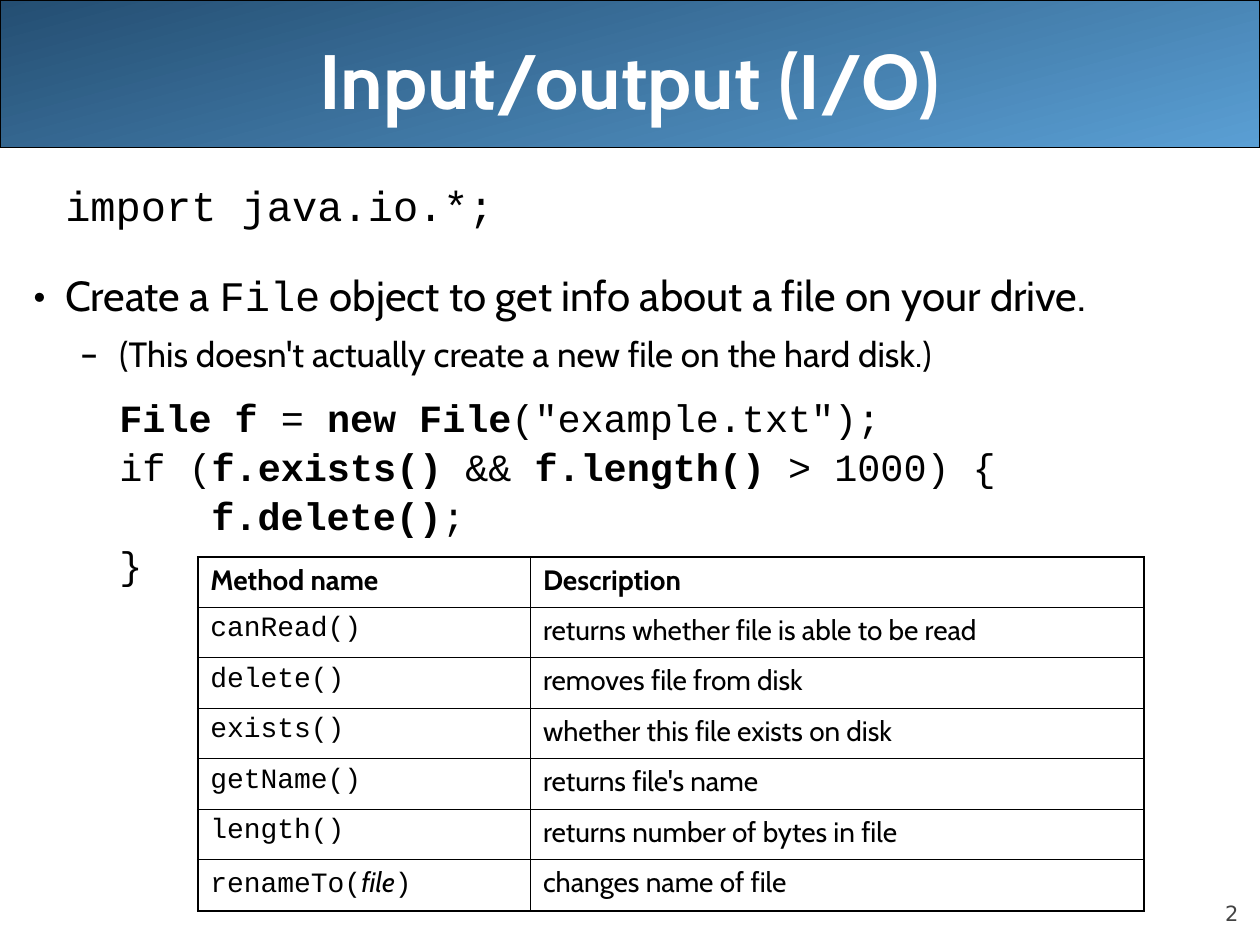
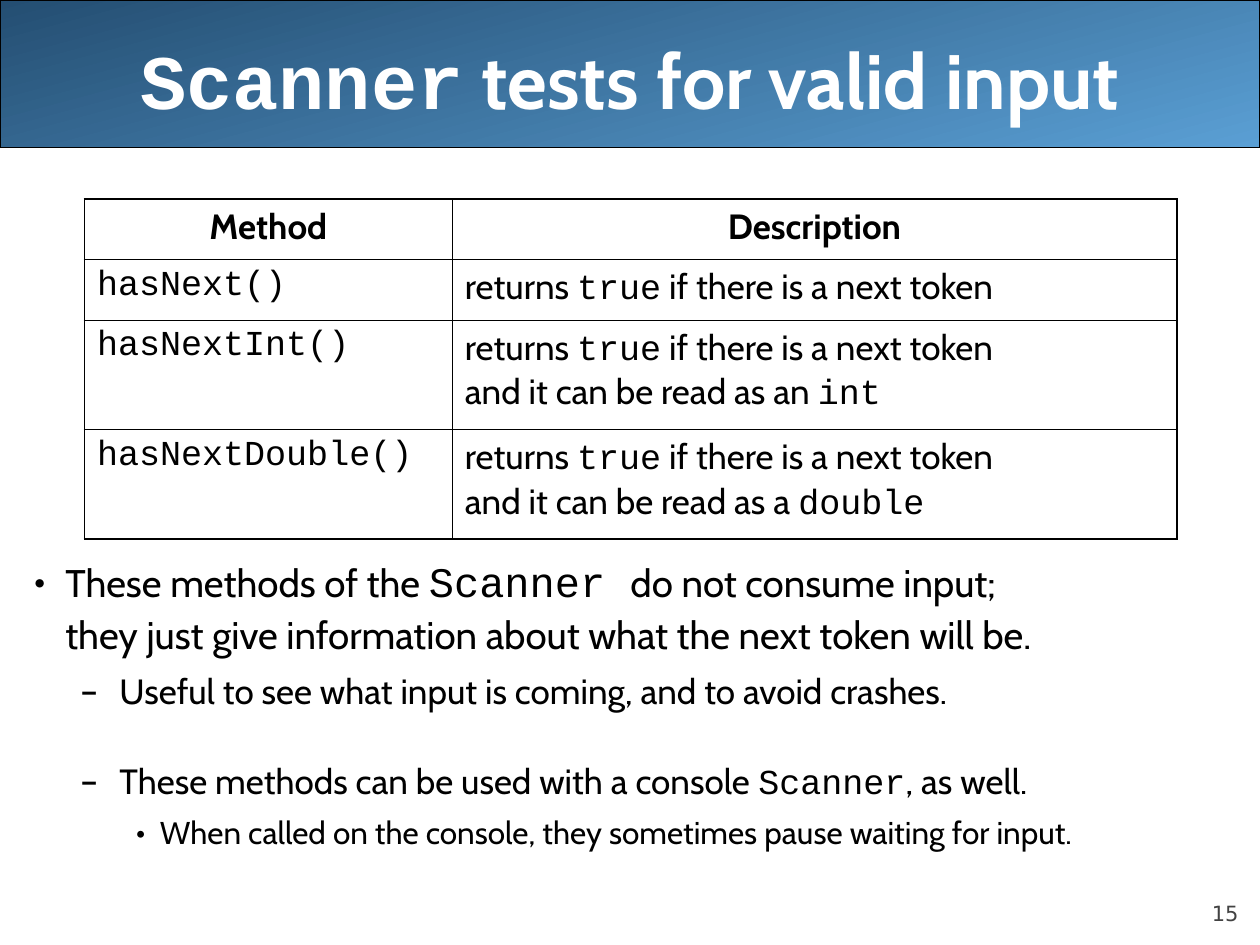
from dataclasses import dataclass, replace
from typing import Optional

from lxml import etree
from pptx import Presentation
from pptx.dml.color import RGBColor
from pptx.enum.shapes import MSO_SHAPE
from pptx.enum.text import MSO_ANCHOR, MSO_AUTO_SIZE, PP_ALIGN
from pptx.oxml.ns import qn
from pptx.util import Inches, Pt

COLORS = {
    "text": "000000",
    "title": "FFFFFF",
    "paper": "FFFFFF",
    "band_dark": "244E72",
    "band_light": "5A9FD4",
    "number": "424242",
}
SANS, MONO, NUMBER_FONT = "Cabin", "Courier New", "DejaVu Sans"
OUTER_LINE, INNER_LINE = Pt(1.08), Pt(0.45)


@dataclass(frozen=True)
class Run:
    text: str
    font: str = SANS
    bold: bool = False
    italic: bool = False
    size: Optional[float] = None


@dataclass(frozen=True)
class Style:
    size: float
    before: float
    spacing: float = 1.1
    margin: float = 0
    hanging: float = 0
    bullet: str = ""
    level: int = 0


@dataclass(frozen=True)
class Line:
    style: Style
    runs: list[Run]


@dataclass(frozen=True)
class Grid:
    left: float
    top: float
    cols: list[float]
    heights: list[float]
    rows: list[list[list[Run]]]
    size: float
    before: float
    header_align: PP_ALIGN


def code(text: str, bold: bool = False, size: Optional[float] = None) -> Run:
    return Run(text, MONO, bold, size=size)


def rgb(name: str) -> RGBColor:
    return RGBColor.from_string(COLORS[name])


def add_runs(p, runs: list[Run], size: float, color: str = "text") -> None:
    for run in runs:
        for i, part in enumerate(run.text.split("\n")):
            if i:
                p.add_line_break()
            r = p.add_run()
            r.text = part
            r.font.name = run.font
            r.font.size = Pt(run.size or size)
            r.font.bold = run.bold
            r.font.italic = run.italic
            r.font.color.rgb = rgb(color)


def format_paragraph(p, style: Style) -> None:
    p.level = style.level
    p.line_spacing = style.spacing
    p.space_before = Pt(style.before)
    pPr = p._p.get_or_add_pPr()
    pPr.set("marL", str(Inches(style.margin)))
    pPr.set("indent", str(-Inches(style.hanging)))
    if style.bullet:
        etree.SubElement(pPr, qn("a:buFont")).set("typeface", SANS)
        etree.SubElement(pPr, qn("a:buChar")).set("char", style.bullet)
    else:
        etree.SubElement(pPr, qn("a:buNone"))


def add_band(s) -> None:
    """Draw the gradient band behind the title."""
    sp = s.shapes.add_shape(MSO_SHAPE.ROUNDED_RECTANGLE, 0, 0, Inches(10), Inches(1.17))
    sp.adjustments[0] = 0
    sp.shadow.inherit = False
    sp.fill.gradient()
    sp.fill.gradient_angle = 285
    for stop, name, position in zip(sp.fill.gradient_stops, ("band_dark", "band_light"), (0, 1)):
        stop.color.rgb = rgb(name)
        stop.position = position
    sp.line.color.rgb = rgb("text")
    sp.line.width = Pt(0.75)
    s.shapes._spTree.insert(2, sp._element)


def set_title(s, runs: list[Run]) -> None:
    title = s.shapes.title
    title.left, title.top = Inches(0.5), 0
    title.width, title.height = Inches(9), Inches(1.25)
    tf = title.text_frame
    tf.auto_size = MSO_AUTO_SIZE.NONE
    tf.vertical_anchor = MSO_ANCHOR.MIDDLE
    p = tf.paragraphs[0]
    p.alignment = PP_ALIGN.CENTER
    add_runs(p, [replace(run, bold=True) for run in runs], 44, "title")


def add_number(s, number: int) -> None:
    sp = s.shapes.add_textbox(Inches(9), Inches(6.95), Inches(0.83), Inches(0.4))
    tf = sp.text_frame
    tf.word_wrap = True
    tf.margin_left = tf.margin_right = tf.margin_top = tf.margin_bottom = 0
    tf.vertical_anchor = MSO_ANCHOR.BOTTOM
    p = tf.paragraphs[0]
    p.alignment = PP_ALIGN.RIGHT
    add_runs(p, [Run(str(number), NUMBER_FONT)], 12, "number")


def add_body(s, lines: list[Line], margin_top: float = 0.05) -> None:
    sp = s.shapes.add_textbox(Inches(0.17), Inches(1.42), Inches(9.83), Inches(5.67))
    tf = sp.text_frame
    tf.word_wrap = True
    tf.margin_top = Inches(margin_top)
    for i, line in enumerate(lines):
        p = tf.add_paragraph() if i else tf.paragraphs[0]
        format_paragraph(p, line.style)
        add_runs(p, line.runs, line.style.size)


def set_borders(cell, left: int, right: int, top: int, bottom: int) -> None:
    tcPr = cell._tc.get_or_add_tcPr()
    sides = zip(("a:lnL", "a:lnR", "a:lnT", "a:lnB"), (left, right, top, bottom))
    for i, (tag, width) in enumerate(sides):
        ln = etree.Element(qn(tag), w=str(width))
        fill = etree.SubElement(ln, qn("a:solidFill"))
        etree.SubElement(fill, qn("a:srgbClr")).set("val", COLORS["text"])
        tcPr.insert(i, ln)


def add_grid(s, grid: Grid) -> None:
    last_row, last_col = len(grid.rows) - 1, len(grid.cols) - 1
    table = s.shapes.add_table(
        last_row + 1, last_col + 1, Inches(grid.left), Inches(grid.top),
        Inches(sum(grid.cols)), Inches(sum(grid.heights)),
    ).table
    table.first_row = table.horz_banding = False
    for column, width in zip(table.columns, grid.cols):
        column.width = Inches(width)
    for row, height in zip(table.rows, grid.heights):
        row.height = Inches(height)
    for i, row in enumerate(grid.rows):
        for j, runs in enumerate(row):
            cell = table.cell(i, j)
            cell.fill.solid()
            cell.fill.fore_color.rgb = rgb("paper")
            edges = (j == 0, j == last_col, i == 0, i == last_row)
            set_borders(cell, *(OUTER_LINE if edge else INNER_LINE for edge in edges))
            p = cell.text_frame.paragraphs[0]
            p.space_before = Pt(grid.before)
            p.alignment = PP_ALIGN.LEFT if i else grid.header_align
            add_runs(p, runs, grid.size)


def add_slide(prs, title: list[Run], number: int):
    """Add a slide with the shared band, title and page number."""
    s = prs.slides.add_slide(prs.slide_layouts[5])
    add_band(s)
    set_title(s, title)
    add_number(s, number)
    return s


POINT = Style(24, 6, margin=0.25, hanging=0.25, bullet="•")
SUBPOINT = Style(20, 5, margin=0.68, hanging=0.31, bullet="–", level=1)
DETAIL = Style(18, 4.5, margin=1, hanging=0.19, bullet="•", level=2)
IMPORT = Style(24, 6, 0.9, margin=0.25)
CODE = Style(22, 5.5, 0.85, margin=0.68, level=1)
NESTED_CODE = replace(CODE, margin=1.41)

FILE_LINES = [
    Line(IMPORT, [code("import java.io.*;")]),
    Line(replace(POINT, before=19.5), [
        Run("Create a "), code("File"),
        Run(" object to get info about a file on your drive."),
    ]),
    Line(SUBPOINT, [Run("(This doesn't actually create a new file on the hard disk.)")]),
    Line(replace(CODE, before=15), [
        code("File f", True), code(" = "), code("new File", True), code('("example.txt");'),
    ]),
    Line(CODE, [
        code("if ("), code("f.exists()", True), code(" && "),
        code("f.length()", True), code(" > 1000) {"),
    ]),
    Line(NESTED_CODE, [code("f.delete()", True), code(";")]),
    Line(CODE, [code("}")]),
]

FILE_METHODS = [
    ("canRead()", "returns whether file is able to be read"),
    ("delete()", "removes file from disk"),
    ("exists()", "whether this file exists on disk"),
    ("getName()", "returns file's name"),
    ("length()", "returns number of bytes in file"),
]
FILE_GRID = Grid(
    1.57, 4.42, [2.64, 4.87], [0.4] * 6 + [0.41],
    [
        [[Run("Method name", bold=True)], [Run("Description", bold=True)]],
        *([[code(method)], [Run(description)]] for method, description in FILE_METHODS),
        [[code("renameTo("), Run("file", italic=True), code(")")], [Run("changes name of file")]],
    ],
    16, 4, PP_ALIGN.LEFT,
)

SCANNER_LINES = [
    Line(replace(POINT, size=22, before=0), [
        Run("These methods of the "), code("Scanner ", size=24),
        Run("do not consume input;\nthey just give information about what the next token will be."),
    ]),
    Line(SUBPOINT, [Run("Useful to see what input is coming, and to avoid crashes.")]),
    Line(replace(SUBPOINT, before=25), [
        Run("These methods can be used with a console "), code("Scanner"), Run(", as well."),
    ]),
    Line(DETAIL, [Run("When called on the console, they sometimes pause waiting for input.")]),
]


def token_test(method: str, article: str = "", type_name: str = "") -> list[list[Run]]:
    """Table row for a method that tests the next token."""
    description = [Run("returns "), code("true"), Run(" if there is a next token")]
    if type_name:
        description += [Run(f"\nand it can be read as {article} "), code(type_name)]
    return [[code(method)], description]


SCANNER_GRID = Grid(
    0.67, 1.58, [2.92, 5.75], [0.48, 0.48, 0.87, 0.87],
    [
        [[Run("Method", bold=True)], [Run("Description", bold=True)]],
        token_test("hasNext()"),
        token_test("hasNextInt()", "an", "int"),
        token_test("hasNextDouble()", "a", "double"),
    ],
    20, 5, PP_ALIGN.CENTER,
)


def main() -> None:
    prs = Presentation()
    prs.slide_width, prs.slide_height = Inches(10), Inches(7.5)

    s = add_slide(prs, [Run("Input/output (I/O)")], 2)
    add_body(s, FILE_LINES)
    add_grid(s, FILE_GRID)

    s = add_slide(prs, [code("Scanner"), Run(" tests for valid input")], 15)
    add_body(s, SCANNER_LINES, margin_top=2.95)
    add_grid(s, SCANNER_GRID)

    prs.save("out.pptx")


if __name__ == "__main__":
    main()
